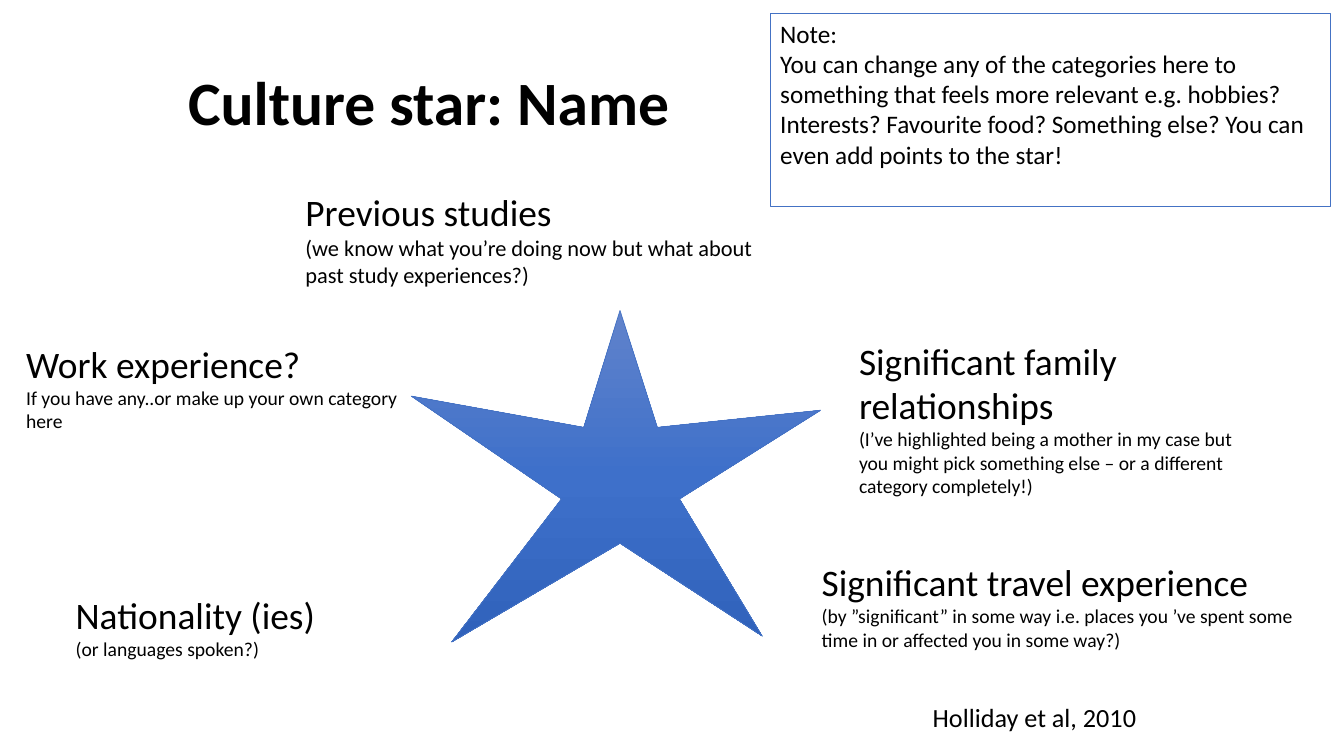
from copy import deepcopy

from pptx import Presentation
from pptx.dml.color import RGBColor
from pptx.enum.shapes import MSO_SHAPE as Shape
from pptx.enum.text import MSO_ANCHOR as Anchor, MSO_AUTO_SIZE as AutoSize, PP_ALIGN as Align
from pptx.oxml.ns import qn
from pptx.util import Inches, Pt


def colour(value):
    return RGBColor.from_string(value)


def apply(target, values):
    for name, value in values.items():
        setattr(target, name, value)


class StarPage:
    font = "Calibri"
    ink = "000000"
    accent = "4472C4"
    label_frame = {
        "margin_left": Inches(0.13), "margin_right": Inches(0.13),
        "margin_top": Inches(0.07), "margin_bottom": Inches(0.07),
    }

    def __init__(self, deck):
        self.page = deck.slides.add_slide(deck.slide_layouts[5])

    def fill_text(self, frame, lines, align=Align.LEFT, bold=False, spacing=1.0, **settings):
        apply(frame, {"word_wrap": True, "auto_size": AutoSize.NONE,
                      "vertical_anchor": Anchor.TOP, **settings})
        for index, (text, size) in enumerate(lines):
            para = frame.add_paragraph() if index else frame.paragraphs[0]
            apply(para, {"alignment": align, "line_spacing": spacing})
            span = para.add_run()
            span.text = text
            apply(span.font, {"name": self.font, "size": Pt(size), "bold": bold})
            span.font.color.rgb = colour(self.ink)

    def outline(self, shape, width):
        shape.shadow.inherit = False
        shape.line.color.rgb = colour(self.accent)
        shape.line.width = Pt(width)

    def title(self, area, text, size):
        box = self.page.shapes.title
        apply(box, dict(zip(("left", "top", "width", "height"), map(Inches, area))))
        self.fill_text(box.text_frame, [(text, size)], Align.CENTER, True, 0.9,
                       vertical_anchor=Anchor.MIDDLE)

    def label(self, area, *lines):
        box = self.page.shapes.add_textbox(*map(Inches, area))
        self.fill_text(box.text_frame, lines, **self.label_frame)

    def star(self, points, stops):
        corners = [(Inches(x), Inches(y)) for x, y in points]
        builder = self.page.shapes.build_freeform(*corners[0])
        builder.add_line_segments(corners[1:], close=True)
        star = builder.convert_to_shape()
        self.outline(star, 0.5)
        star.fill.gradient()
        star.fill.gradient_angle = 270
        stop_list = next(star._element.iter(qn("a:gsLst")))
        stop_list.insert(1, deepcopy(stop_list[0]))
        for stop, (position, value) in zip(star.fill.gradient_stops, stops):
            stop.position = position
            stop.color.rgb = colour(value)

    def note(self, area, *lines):
        box = self.page.shapes.add_shape(Shape.RECTANGLE, *map(Inches, area))
        box.fill.background()
        self.outline(box, 0.75)
        self.fill_text(box.text_frame, lines)


LABELS = [
    ((2.9, 1.81, 4.74, 0.96), "Previous studies", 16,
     "(we know what you’re doing now but what about past study experiences?)"),
    ((8.39, 3.28, 4.07, 0.63), "Significant family relationships", 14,
     "(I’ve highlighted being a mother in my case but you might pick something else "
     "– or a different category completely!)"),
    ((0.13, 3.31, 4.07, 0.63), "Work experience?", 14,
     "If you have any..or make up your own category here"),
    ((0.62, 5.8, 3.27, 0.63), "Nationality (ies)", 14, "(or languages spoken?)"),
    ((8.02, 5.48, 5.06, 0.79), "Significant travel experience", 14,
     "(by ”significant” in some way i.e. places you ’ve spent some time in "
     "or affected you in some way?)"),
]
STAR_POINTS = [
    (4.08, 3.93), (5.79, 4.24), (6.15, 3.08), (6.52, 4.24), (8.14, 4.07),
    (6.74, 4.95), (7.56, 6.31), (6.15, 5.39), (4.48, 6.37), (5.57, 4.95),
]
STAR_STOPS = [(0, "6183CB"), (0.5, "3E70CA"), (1, "3062BB")]


def main():
    deck = Presentation()
    apply(deck, {"slide_width": Inches(13.33), "slide_height": Inches(7.5)})
    page = StarPage(deck)
    page.title((0.13, 0.63, 8.25, 0.83), "Culture star: Name", 44)
    for area, heading, size, hint in LABELS:
        page.label(area, (heading, 26.7), (hint, size))
    page.star(STAR_POINTS, STAR_STOPS)
    page.label((9.12, 6.89, 4.22, 0.3), ("Holliday et al, 2010", 18.7))
    page.note((7.64, 0.13, 5.56, 1.92), ("Note:", 18), (
        "You can change any of the categories here to something that feels more relevant "
        "e.g. hobbies? Interests? Favourite food? Something else? "
        "You can even add points to the star!", 18))
    deck.save("out.pptx")


if __name__ == "__main__":
    main()
